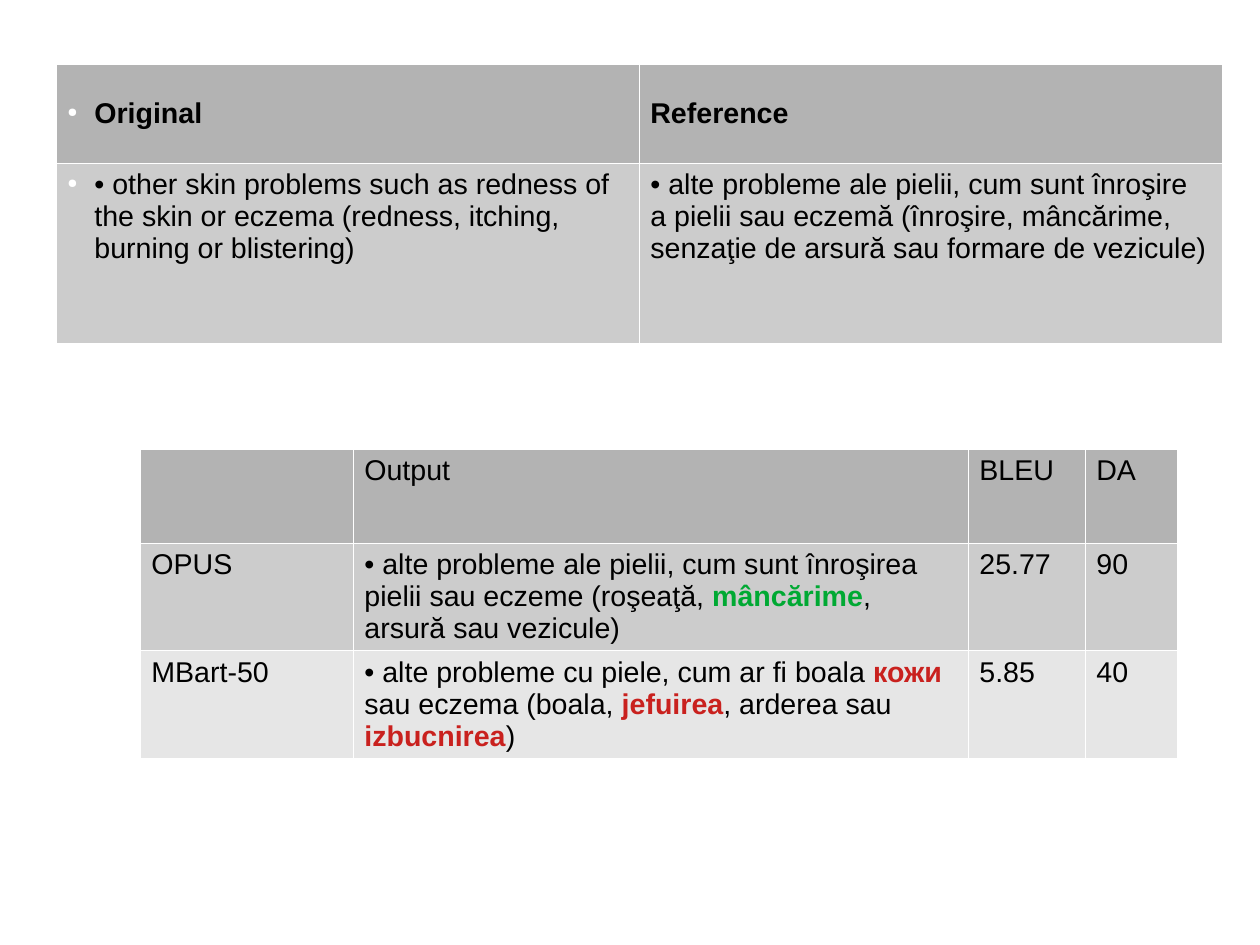
import pptx
import pptx.dml.color
import pptx.enum.text
import pptx.oxml
import pptx.oxml.ns
import pptx.util
from lxml import etree

PX = 8000  # EMU; the slide is 28 by 21 cm, 45 px to the cm
HEAD, BODY, ALT = "B3B3B3", "CCCCCC", "E6E6E6"
GREEN, RED = "00A933", "C9211E"


def px(n):
    return pptx.util.Emu(n * PX)


def rgb(color):
    return pptx.dml.color.RGBColor.from_string(color)


def add_xml(parent, tag, **attrs):
    return etree.SubElement(parent, pptx.oxml.ns.qn(tag), attrs)


def add_borders(cell):
    tc_pr = cell._tc.get_or_add_tcPr()
    for side in ("a:lnL", "a:lnR", "a:lnT", "a:lnB"):
        fill = add_xml(add_xml(tc_pr, side, w="720"), "a:solidFill")
        add_xml(fill, "a:srgbClr", val="FFFFFF")


def add_bullet(p):
    p_pr = p._p.get_or_add_pPr()
    p_pr.set("marL", str(px(27)))
    p_pr.set("indent", str(px(-27)))
    add_xml(add_xml(p_pr, "a:buClr"), "a:srgbClr", val="FFFFFF")
    add_xml(p_pr, "a:buSzPct", val="45000")
    add_xml(p_pr, "a:buFont", typeface="OpenSymbol")
    add_xml(p_pr, "a:buChar", char="●")


def fill_cell(cell, content, color, bold=False, bullet=False):
    """Content is a string, or a list of strings and (text, highlight) pairs."""
    add_borders(cell)
    cell.fill.solid()
    cell.fill.fore_color.rgb = rgb(color)
    p = cell.text_frame.paragraphs[0]
    if bullet:
        add_bullet(p)
    p.font.name = "Arial"
    p.font.size = pptx.util.Pt(18)
    p.font.color.rgb = rgb("000000")
    p.font.bold = bold
    for part in [content] if isinstance(content, str) else content:
        text, highlight = (part, None) if isinstance(part, str) else part
        if not text:
            continue
        r = p.add_run()
        r.text = text
        if highlight:
            r.font.bold = True
            r.font.color.rgb = rgb(highlight)


def add_grid(slide, left, top, widths, heights):
    """Add a table without the banded style's header and stripes."""
    table = slide.shapes.add_table(len(heights), len(widths), px(left), px(top),
                                   px(sum(widths)), px(sum(heights))).table
    table.first_row = table.horz_banding = False
    for column, width in zip(table.columns, widths):
        column.width = px(width)
    for row, height in zip(table.rows, heights):
        row.height = px(height)
    return table


def add_source_table(slide, left, top):
    rows = [
        ("Original", "Reference"),
        ("• other skin problems such as redness of the skin or eczema "
         "(redness, itching, burning or blistering)",
         "• alte probleme ale pielii, cum sunt înroşire a pielii sau eczemă "
         "(înroşire, mâncărime, senzaţie de arsură sau formare de vezicule)"),
    ]
    table = add_grid(slide, left, top, [583, 583], [99, 180])
    for i, row in enumerate(rows):
        for j, text in enumerate(row):
            cell = table.cell(i, j)
            fill_cell(cell, text, (HEAD, BODY)[i], bold=i == 0, bullet=j == 0)
            if i == 0:
                cell.vertical_anchor = pptx.enum.text.MSO_ANCHOR.MIDDLE


def add_output_table(slide, left, top):
    rows = [
        ("", "Output", "BLEU", "DA"),
        ("OPUS",
         ["• alte probleme ale pielii, cum sunt înroşirea pielii sau eczeme (roşeaţă, ",
          ("mâncărime", GREEN), ", arsură sau vezicule)"],
         "25.77", "90"),
        ("MBart-50",
         ["• alte probleme cu piele, cum ar fi boala ", ("кожи", RED),
          " sau eczema (boala, ", ("jefuirea", RED), ", arderea sau ",
          ("izbucnirea", RED), ")"],
         "5.85", "40"),
    ]
    table = add_grid(slide, left, top, [213, 615, 117, 92], [94] * 3)
    for i, row in enumerate(rows):
        for j, content in enumerate(row):
            fill_cell(table.cell(i, j), content, (HEAD, BODY, ALT)[i])


def main():
    prs = pptx.Presentation()
    prs.slide_width, prs.slide_height = px(1260), px(945)
    slide = prs.slides.add_slide(prs.slide_layouts[6])
    add_source_table(slide, 56, 64)
    add_output_table(slide, 140, 449)
    prs.save("out.pptx")


if __name__ == "__main__":
    main()
